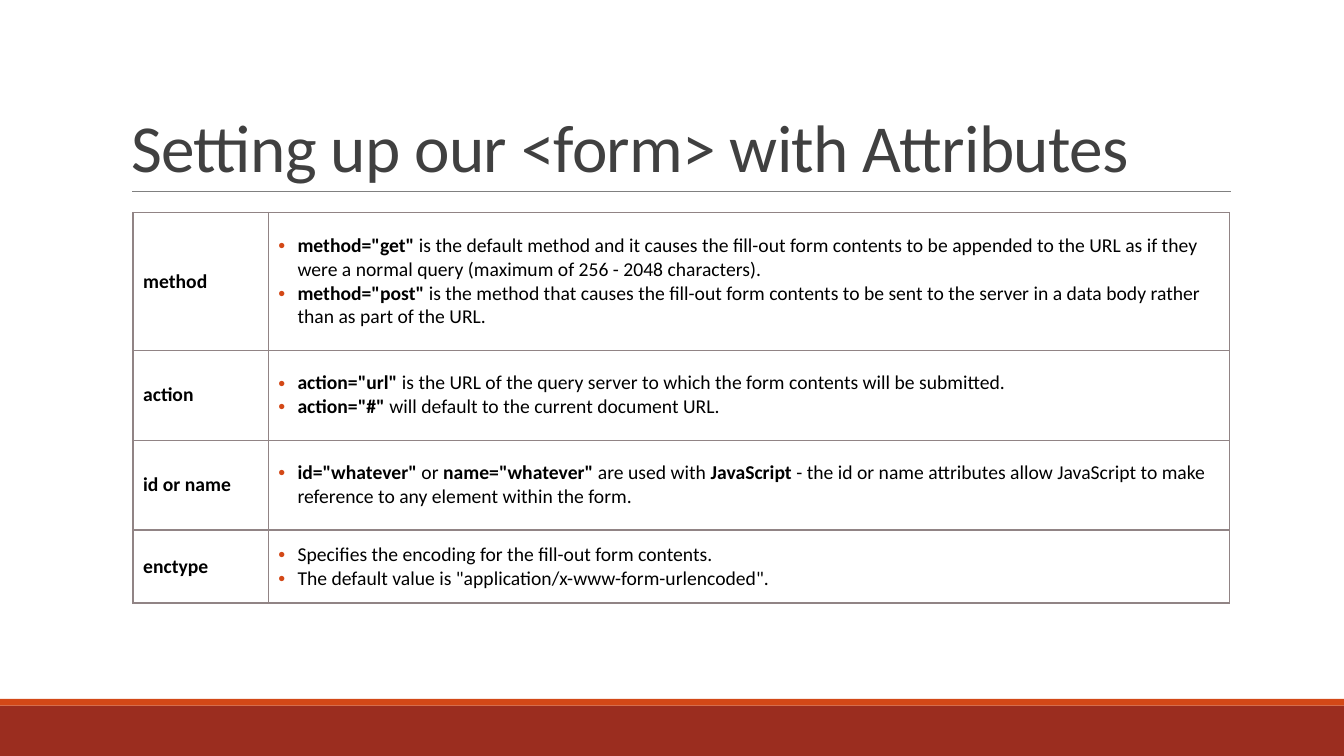
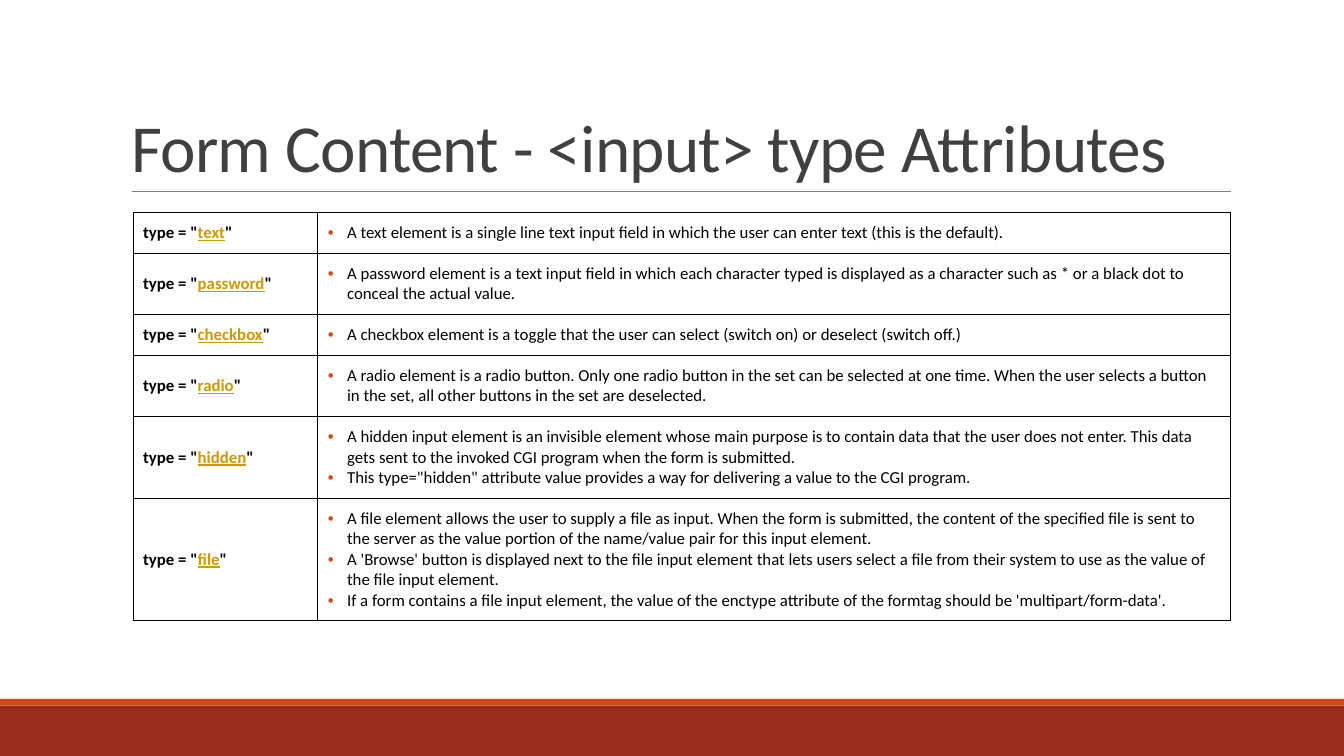
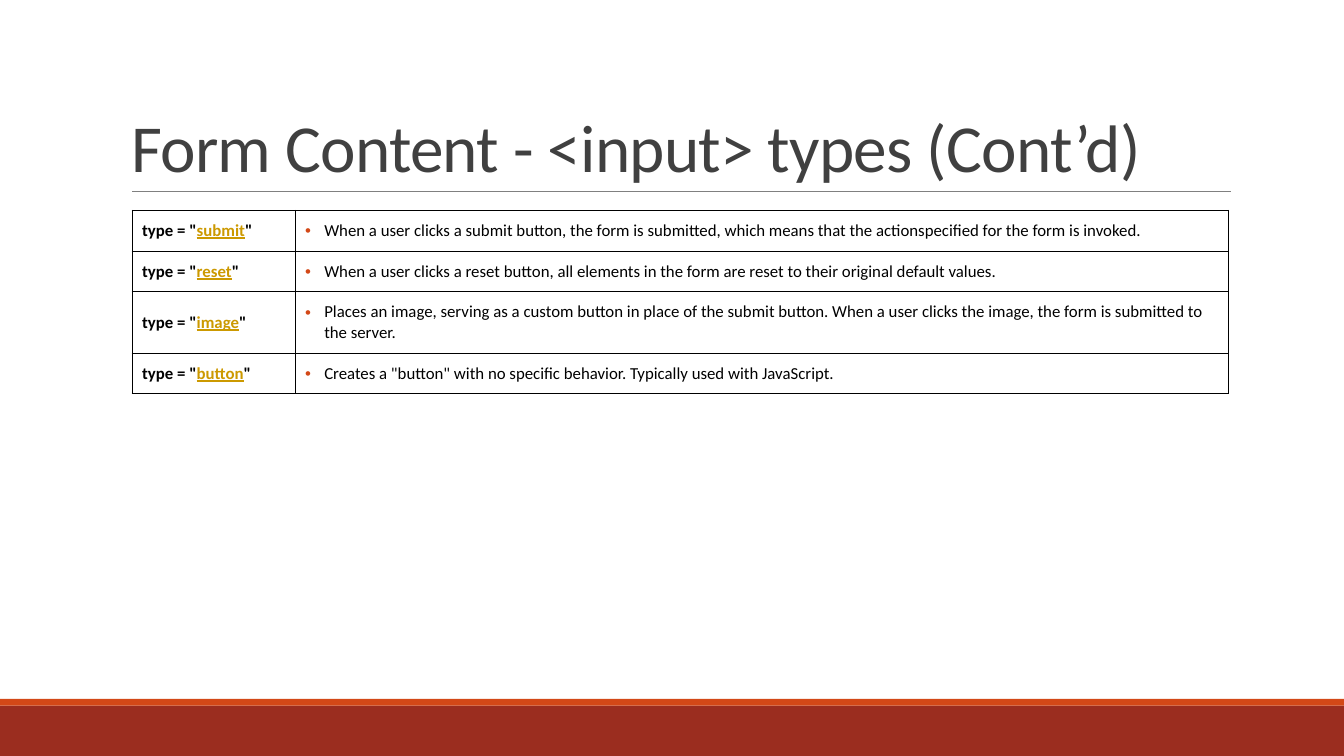
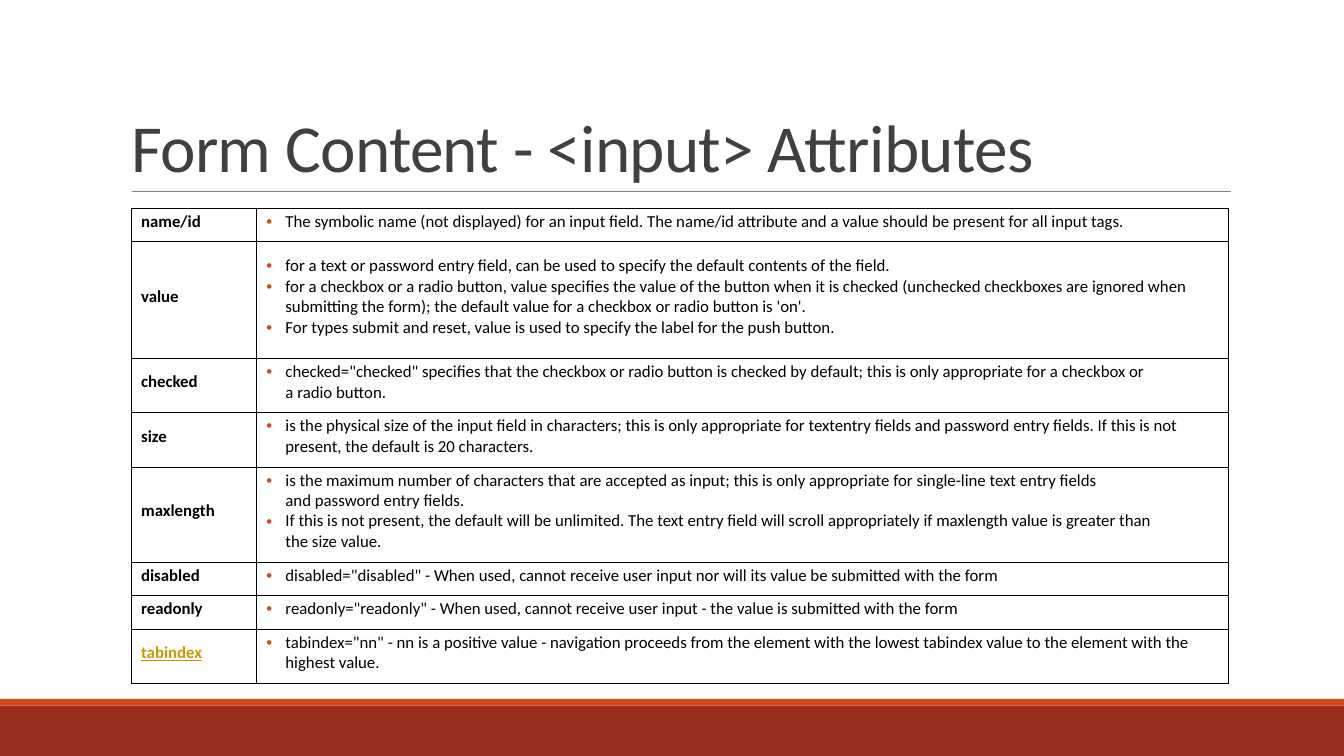
from dataclasses import dataclass

from lxml.etree import SubElement
from pptx import Presentation
from pptx.dml.color import RGBColor
from pptx.enum.shapes import MSO_CONNECTOR, MSO_SHAPE
from pptx.enum.text import MSO_ANCHOR
from pptx.oxml.ns import qn
from pptx.util import Emu, Inches, Pt

GRID_COLUMNS, GRID_ROWS = 160, 90
TITLE_ONLY = 5
BOLD_MARK, LINK_MARK, HARD_SPACE_MARK = "**", "_", "~"
HARD_SPACE = chr(160)


@dataclass(frozen=True)
class Theme:
    font: str = "Calibri"
    title: str = "404040"
    text: str = "000000"
    link: str = "CC9900"
    paper: str = "FFFFFF"
    band: str = "9B2D1F"
    accent: str = "D34817"
    rule: str = "808080"
    soft_border: str = "918485"
    title_size: int = 48
    large_size: int = 14
    body_size: int = 12


class Deck:
    def __init__(self, theme):
        self.theme = theme
        self.presentation = Presentation()
        self.presentation.slide_width = Inches(13.33)
        self.presentation.slide_height = Inches(7.5)
        self.layout = self.presentation.slide_layouts[TITLE_ONLY]
        self.slide = None

    def x(self, columns):
        return Emu(round(self.presentation.slide_width * columns / GRID_COLUMNS))

    def y(self, rows):
        return Emu(round(self.presentation.slide_height * rows / GRID_ROWS))

    def box(self, left, top, width, height):
        return self.x(left), self.y(top), self.x(width), self.y(height)

    def add_slide(self, title):
        first = self.slide is None
        self.slide = self.presentation.slides.add_slide(self.layout)
        if first:
            self.dress_layout()
        self.title(title)

    def dress_layout(self):
        """Draw the footer bands and title rule, then move them to the layout."""
        furniture = [
            self.band(84, 6, self.theme.band),
            self.band(83.2, 0.8, self.theme.accent),
            self.rule(15.72, 146.52, 22.8),
        ]
        for part in furniture:
            self.layout.shapes._spTree.append(part._element)

    def band(self, top, height, color):
        band = self.slide.shapes.add_shape(
            MSO_SHAPE.RECTANGLE, *self.box(0, top, GRID_COLUMNS, height))
        band.shadow.inherit = False
        band.fill.solid()
        band.fill.fore_color.rgb = RGBColor.from_string(color)
        band.line.fill.background()
        return band

    def rule(self, start, end, row):
        rule = self.slide.shapes.add_connector(
            MSO_CONNECTOR.STRAIGHT, self.x(start), self.y(row), self.x(end), self.y(row))
        rule.line.color.rgb = RGBColor.from_string(self.theme.rule)
        rule.line.width = Pt(0.5)
        SubElement(rule._element.spPr, qn("a:effectLst"))
        return rule

    def title(self, text):
        title = self.slide.shapes.title
        title.left, title.top, title.width, title.height = self.box(14.4, 3.75, 132, 19.05)
        title.text_frame.vertical_anchor = MSO_ANCHOR.BOTTOM
        title.text_frame.word_wrap = True
        paragraph = title.text_frame.paragraphs[0]
        paragraph.alignment = 1
        paragraph.line_spacing = 0.85
        run = self.run(paragraph, text, self.theme.title, size=Pt(self.theme.title_size))
        run.font._element.set("spc", "-50")

    def run(self, paragraph, text, color, **formats):
        run = paragraph.add_run()
        run.text = text.replace(HARD_SPACE_MARK, HARD_SPACE)
        run.font.color.rgb = RGBColor.from_string(color)
        for name, value in {"name": self.theme.font, **formats}.items():
            setattr(run.font, name, value)
        return run

    def label(self, cell, text, size):
        paragraph = cell.text_frame.paragraphs[0]
        for index, piece in enumerate(text.split(LINK_MARK)):
            linked = index % 2 == 1
            if piece:
                self.run(paragraph, piece, self.theme.link if linked else self.theme.text,
                         size=Pt(size), bold=True, underline=linked)

    def bullets(self, cell, points, size):
        frame = cell.text_frame
        for number, point in enumerate(points):
            paragraph = frame.add_paragraph() if number else frame.paragraphs[0]
            properties = paragraph._p.get_or_add_pPr()
            properties.set("marL", str(Inches(0.19)))
            properties.set("indent", str(-Inches(0.19)))
            bullet_color = SubElement(properties, qn("a:buClr"))
            SubElement(bullet_color, qn("a:srgbClr"), val=self.theme.accent)
            SubElement(properties, qn("a:buFont"), typeface="Arial")
            SubElement(properties, qn("a:buChar"), char="•")
            for index, piece in enumerate(point.split(BOLD_MARK)):
                if piece:
                    self.run(paragraph, piece, self.theme.text,
                             size=Pt(size), bold=index % 2 == 1)

    def borders(self, cell, color, width):
        properties = cell._tc.get_or_add_tcPr()
        for position, side in enumerate(("a:lnL", "a:lnR", "a:lnT", "a:lnB")):
            line = SubElement(properties, qn(side), w=str(Pt(width)))
            fill = SubElement(line, qn("a:solidFill"))
            SubElement(fill, qn("a:srgbClr"), val=color)
            properties.insert(position, line)

    def definitions(self, entries, corner, columns, rows, size=None,
                    border=None, border_width=0.75, top_inset=0.1):
        """Add a table with a bold label and a bullet list in each row."""
        size = size or self.theme.body_size
        table = self.slide.shapes.add_table(
            len(entries), 2, *self.box(*corner, sum(columns), sum(rows))).table
        table.first_row = table.horz_banding = False
        for column, width in zip(table.columns, columns):
            column.width = self.x(width)
        for row, height, (label, points) in zip(table.rows, rows, entries):
            row.height = self.y(height)
            self.label(row.cells[0], label, size)
            self.bullets(row.cells[1], points, size)
            for cell in row.cells:
                cell.vertical_anchor = MSO_ANCHOR.MIDDLE
                cell.margin_left = cell.margin_right = cell.margin_bottom = Inches(0.1)
                cell.margin_top = Inches(top_inset)
                cell.fill.solid()
                cell.fill.fore_color.rgb = RGBColor.from_string(self.theme.paper)
                self.borders(cell, border or self.theme.text, border_width)


FORM_ATTRIBUTES = [
    ("method", [
        '**method="get"** is the default method and it causes the fill-out form contents to be appended to the URL as if they were a normal query (maximum of 256 - 2048 characters).',
        '**method="post"** is the method that causes the fill-out form contents to be sent to the server in a data body rather than as part of the URL.']),
    ("action", [
        '**action="url"** is the URL of the query server to which the form contents will be submitted.',
        '**action="#"** will default to the current document URL.']),
    ("id or~name", [
        '**id="whatever"** or **name="whatever"** are used with **JavaScript** - the id or name attributes allow JavaScript to make reference to any element within the form.']),
    ("enctype", [
        "Specifies the encoding for the fill-out form contents.",
        'The default value is "application/x-www-form-urlencoded".']),
]

INPUT_TYPES = [
    ('type = "_text_"', [
        "A text element is a single line text input field in which the user can enter text (this is the default)."]),
    ('type = "_password_"', [
        "A password element is a text input field in which each character typed is displayed as a character such as * or a black dot to conceal the actual value."]),
    ('type = "_checkbox_"', [
        "A checkbox element is a toggle that the user can select (switch on) or deselect (switch off.)"]),
    ('type = "_radio_"', [
        "A radio element is a radio button. Only one radio button in the set can be selected at one time. When the user selects a button in the set, all other buttons in the set are deselected."]),
    ('type = "_hidden_"', [
        "A hidden input element is an invisible element whose main purpose is to contain data that the user does not enter. This data gets sent to the invoked CGI program when the form is submitted.",
        'This type="hidden" attribute value provides a way for delivering a value to the CGI program.']),
    ('type = "_file_"', [
        "A file element allows the user to supply a file as input. When the form is submitted, the content of the specified file is sent to the server as the value portion of the name/value pair for this input element.",
        "A 'Browse' button is displayed next to the file input element that lets users select a file from their system to use as the value of the file input element.",
        "If a form contains a file input element, the value of the enctype attribute of the formtag should be 'multipart/form-data'."]),
]

BUTTON_TYPES = [
    ('type = "_submit_"', [
        "When a user clicks a submit button, the form is submitted, which means that the actionspecified for the form is invoked."]),
    ('type = "_reset_"', [
        "When a user clicks a reset button, all elements in the form are reset to their original default values."]),
    ('type = "_image_"', [
        "Places an image, serving as a custom button in place of the submit button. When a user clicks the image, the form is submitted to the server."]),
    ('type = "_button_"', [
        'Creates a "button" with no specific behavior. Typically used with JavaScript.']),
]

INPUT_ATTRIBUTES = [
    ("name/id", [
        "The symbolic name (not displayed) for an input field. The name/id attribute and a value should be present for all input tags."]),
    ("value", [
        "for a text or password entry field, can be used to specify the default contents of the field.",
        "for a checkbox or a radio button, value specifies the value of the button when it is checked (unchecked checkboxes are ignored when submitting the form); the default value for a checkbox or radio button is 'on'.",
        "For types submit and reset, value is used to specify the label for the push button."]),
    ("checked", [
        'checked="checked" specifies that the checkbox or radio button is checked by default; this is only appropriate for a checkbox or a~radio~button.']),
    ("size", [
        "is the physical size of the input field in characters; this is only appropriate for textentry fields and password entry fields. If this is not present, the default is 20 characters."]),
    ("maxlength", [
        "is the maximum number of characters that are accepted as input; this is only appropriate for single-line text entry fields and~password~entry fields.",
        "If this is not present, the default will be unlimited. The text entry field will scroll appropriately if maxlength value is greater than the~size~value."]),
    ("disabled", [
        'disabled="disabled" - When used, cannot receive user input nor will its value be submitted with the form']),
    ("readonly", [
        'readonly="readonly" - When used, cannot receive user input - the value is submitted with the form']),
    ("_tabindex_", [
        'tabindex="nn" - nn is a positive value - navigation proceeds from the element with the lowest tabindex value to the element with the highest value.']),
]


def main():
    theme = Theme()
    deck = Deck(theme)

    deck.add_slide("Setting up our <form> with Attributes")
    deck.definitions(FORM_ATTRIBUTES, (15.84, 25.3), (16.1, 114.4), (16.4, 10.7, 10.7, 8.7),
                     size=theme.large_size, border=theme.soft_border, border_width=1)

    deck.add_slide("Form Content - <input> type Attributes")
    deck.definitions(INPUT_TYPES, (15.84, 25.3), (22, 108.6),
                     (4.85, 7.3, 4.85, 7.3, 9.7, 14.6))

    deck.add_slide("Form Content - <input> types (Cont’d)")
    deck.definitions(BUTTON_TYPES, (15.72, 25.05), (19.4, 111.1), (4.85, 4.85, 7.3, 4.85))

    deck.add_slide("Form Content - <input> Attributes")
    deck.definitions(INPUT_ATTRIBUTES, (15.6, 24.8), (14.9, 115.8),
                     (4, 13.9, 6.45, 6.45, 11.3, 4, 4, 6.45), top_inset=0.03)

    deck.presentation.save("out.pptx")


if __name__ == "__main__":
    main()
